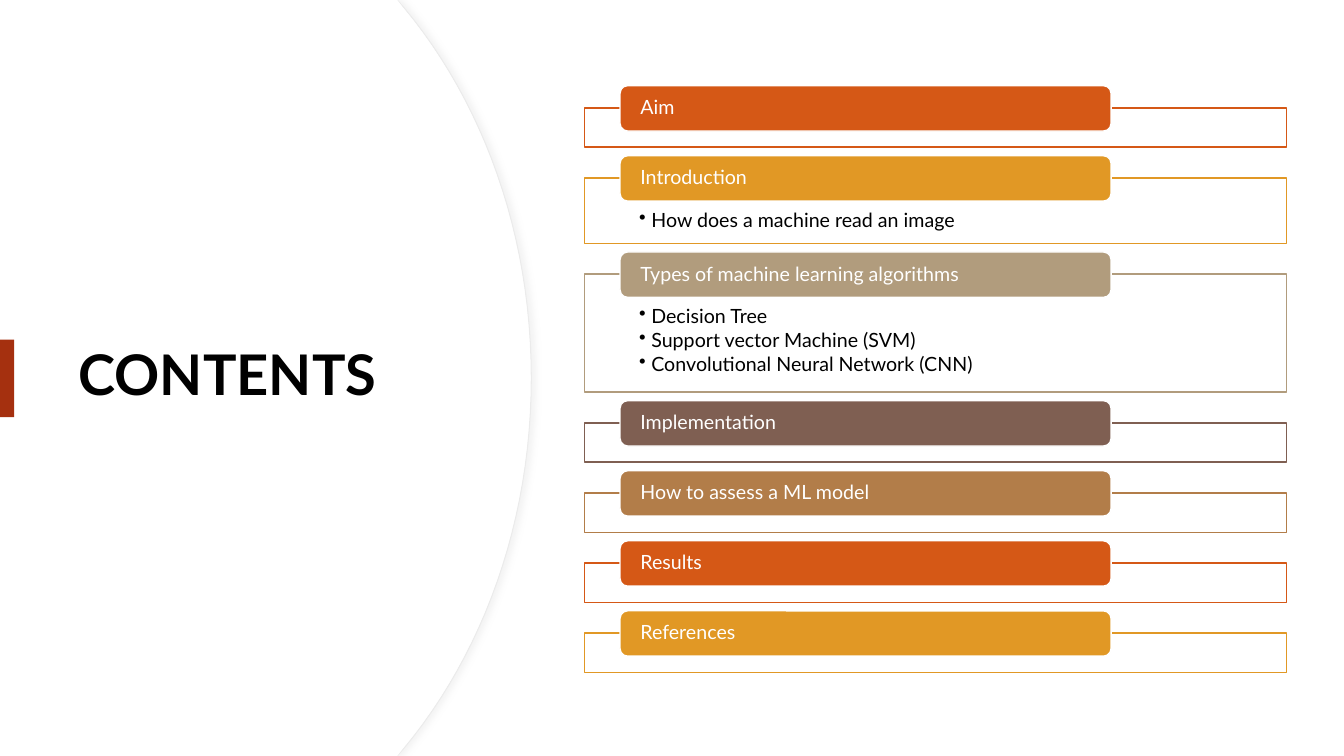
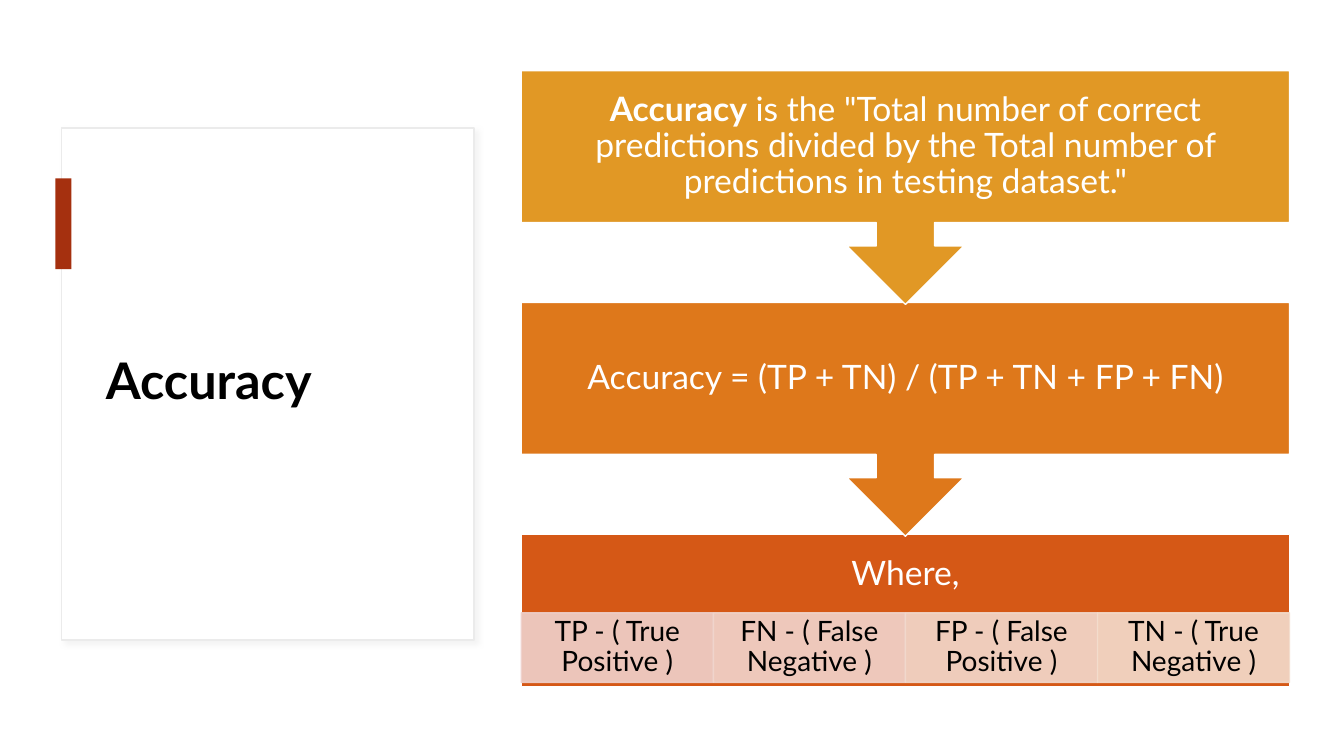
from dataclasses import dataclass

from lxml import etree
from pptx import Presentation
from pptx import util as u
from pptx.dml.color import RGBColor
from pptx.enum import shapes, text
from pptx.oxml.ns import qn

# Content: (heading, colour, bullets)
CONTENTS = [
    ("Aim", "D55816", []),
    ("Introduction", "E19825", ["How does a machine read an image"]),
    ("Types of machine learning algorithms", "B19C7D",
     ["Decision Tree", "Support vector Machine (SVM)", "Convolutional Neural Network (CNN)"]),
    ("Implementation", "7F5F52", []),
    ("How to assess a ML model", "B27D49", []),
    ("Results", "D55816", []),
    ("References", "E19825", []),
]
# Steps: (colour, runs as (text, bold))
STEPS = [
    ("E19825", [("Accuracy", True),
                (' is the "Total number of correct predictions divided by '
                 'the Total number of predictions in testing dataset."', False)]),
    ("DE781B", [("Accuracy = (TP + TN) / (TP + TN + FP + FN)", False)]),
    ("D55816", [("Where,", False)]),
]
TERMS = [
    ("TP - ( True Positive )", "EFD1CC"),
    ("FN - ( False Negative )", "F1D5CD"),
    ("FP - ( False Positive )", "F2D9CD"),
    ("TN - ( True Negative )", "F4DDCD"),
]


@dataclass(frozen=True)
class Theme:
    font: str = "Lato"
    white: str = "FFFFFF"
    ink: str = "000000"
    accent: str = "A5300F"
    edge: str = "EBEBEB"
    shade: str = "D9D9D9"
    contents_title: int = 40
    title: int = 36
    step: int = 24
    term: int = 20
    item: int = 14


T = Theme()
SHAPE = shapes.MSO_SHAPE
ALIGN = text.PP_ALIGN
ANCHOR = text.MSO_ANCHOR


# Shared helpers
def paint(sp, fill, line=None, width=1.0):
    sp.shadow.inherit = False
    sp.fill.solid()
    sp.fill.fore_color.rgb = RGBColor.from_string(fill)
    if line:
        sp.line.color.rgb = RGBColor.from_string(line)
        sp.line.width = u.Pt(width)
    else:
        sp.line.fill.background()
    return sp


def add_box(s, kind, at, fill, line=None):
    return paint(s.shapes.add_shape(kind, *map(u.Inches, at)), fill, line)


def set_alpha(sp, percent):
    for clr in sp._element.spPr.iter(qn("a:srgbClr")):
        etree.SubElement(clr, qn("a:alpha"), val=str(percent * 1000))


def add_soft_shadow(sp, degrees):
    effects = sp._element.spPr.find(qn("a:effectLst"))
    shadow = etree.SubElement(effects, qn("a:outerShdw"), blurRad=str(u.Pt(4)),
                              dist=str(u.Pt(3)), dir=str(degrees * 60000), rotWithShape="0")
    clr = etree.SubElement(shadow, qn("a:srgbClr"), val=T.shade)
    etree.SubElement(clr, qn("a:alpha"), val="30000")


def write(sp, paragraphs, size, color, align=ALIGN.LEFT, anchor=ANCHOR.MIDDLE,
          insets=(0.1, 0.05, 0.1, 0.05), bullets=False):
    """Fill a shape; each paragraph is a list of (text, bold) runs."""
    tf = sp.text_frame
    tf.word_wrap = True
    tf.auto_size = text.MSO_AUTO_SIZE.NONE
    tf.vertical_anchor = anchor
    tf.margin_left, tf.margin_top, tf.margin_right, tf.margin_bottom = map(u.Inches, insets)
    for i, runs in enumerate(paragraphs):
        p = tf.paragraphs[0] if i == 0 else tf.add_paragraph()
        if bullets:
            pPr = p._p.get_or_add_pPr()
            pPr.set("marL", str(u.Inches(0.12)))
            pPr.set("indent", str(u.Inches(-0.12)))
            etree.SubElement(pPr, qn("a:buChar"), char="•")
            p.space_after = u.Pt(2)
        p.alignment = align
        p.line_spacing = 0.9
        for words, bold in runs:
            r = p.add_run()
            r.text = words
            r.font.name = T.font
            r.font.size = u.Pt(size)
            r.font.bold = bold
            r.font.color.rgb = RGBColor.from_string(color)


def add_title(s, words, at, size, bar):
    """Place the title above its panel, with the accent bar beside it."""
    title = s.shapes.title
    s.shapes._spTree.append(title._element)
    title.left, title.top, title.width, title.height = map(u.Inches, at)
    write(title, [[(words, True)]], size, T.ink)
    add_box(s, SHAPE.RECTANGLE, bar, T.accent)


def bezier(p0, p1, p2, p3, steps=24):
    for i in range(steps + 1):
        t = i / steps
        v = 1 - t
        yield tuple(v**3 * a + 3 * v * v * t * b + 3 * v * t * t * c + t**3 * d
                    for a, b, c, d in zip(p0, p1, p2, p3))


def add_curved_panel(s, right):
    """Panel from the left slide edge, with a bulging right side."""
    upper = list(bezier((right - 1.26, 0.08), (right - 0.48, 1.02),
                        (right, 2.32), (right, 3.75)))
    lower = [(x, 7.5 - y) for x, y in reversed(upper[:-1])]
    outline = [(3.94, 0), *upper, *lower, (3.94, 7.5), (0, 7.5)]
    fb = s.shapes.build_freeform(0, 0, scale=1.0)
    fb.add_line_segments([(u.Inches(x), u.Inches(y)) for x, y in outline], close=True)
    return fb.convert_to_shape()


# Slides
def build_contents(s):
    add_soft_shadow(paint(add_curved_panel(s, 5.27), T.white, T.edge, 0.75), 0)
    paint(add_curved_panel(s, 5.26), T.white)
    add_title(s, "CONTENTS", (0.68, 1.27, 3.94, 4.95), T.contents_title, (0, 3.37, 0.14, 0.77))

    # Frames grow with their bullets; the gaps share the remaining height
    top, bottom = 1.07, 6.67
    heights = [0.39 + 0.26 * len(bullets) for _, _, bullets in CONTENTS]
    gap = (bottom - top - sum(heights)) / (len(CONTENTS) - 1)
    for (heading, color, bullets), height in zip(CONTENTS, heights):
        frame = add_box(s, SHAPE.RECTANGLE, (5.8, top, 6.96, height), T.white, color)
        if bullets:
            write(frame, [[(b, False)] for b in bullets], T.item, T.ink, anchor=ANCHOR.TOP,
                  insets=(0.54, 0.32, 0.54, 0.11), bullets=True)
        tab = add_box(s, SHAPE.ROUNDED_RECTANGLE, (6.15, top - 0.22, 4.87, 0.45), color, T.white)
        write(tab, [[(heading, False)]], T.item, T.white, insets=(0.18, 0, 0.18, 0))
        top += height + gap


def build_accuracy(s):
    panel = add_box(s, SHAPE.RECTANGLE, (0.61, 1.27, 4.09, 5.08), T.white, T.edge)
    add_soft_shadow(panel, 45)
    add_title(s, "Accuracy", (0.95, 1.88, 3.39, 3.85), T.title, (0.55, 1.77, 0.16, 0.9))

    # Steps, last first so that each arrow tip lies over the next block
    left, top, width, pitch = 5.17, 0.7, 7.62, 2.3
    last = len(STEPS) - 1
    for i, (color, runs) in reversed(list(enumerate(STEPS))):
        kind, height, foot = ((SHAPE.RECTANGLE, 1.51, 0.89) if i == last
                              else (SHAPE.DOWN_ARROW_CALLOUT, 2.32, 0.19))
        block = add_box(s, kind, (left, top + i * pitch, width, height), color, T.white)
        write(block, [runs], T.step, T.white, ALIGN.CENTER, insets=(0.19, 0.19, 0.19, foot))

    # Terms across the foot of the last step
    cell_width = width / len(TERMS)
    for i, (term, tint) in enumerate(TERMS):
        cell = add_box(s, SHAPE.RECTANGLE, (left + i * cell_width, 6.08, cell_width, 0.69),
                       tint, tint)
        set_alpha(cell, 90)
        write(cell, [[(term, False)]], T.term, T.ink, ALIGN.CENTER,
              insets=(0.16, 0.03, 0.16, 0.03))


def main():
    prs = Presentation()
    prs.slide_width, prs.slide_height = u.Inches(13.33), u.Inches(7.5)
    for build in (build_contents, build_accuracy):
        build(prs.slides.add_slide(prs.slide_layouts[5]))
    prs.save("out.pptx")


if __name__ == "__main__":
    main()
